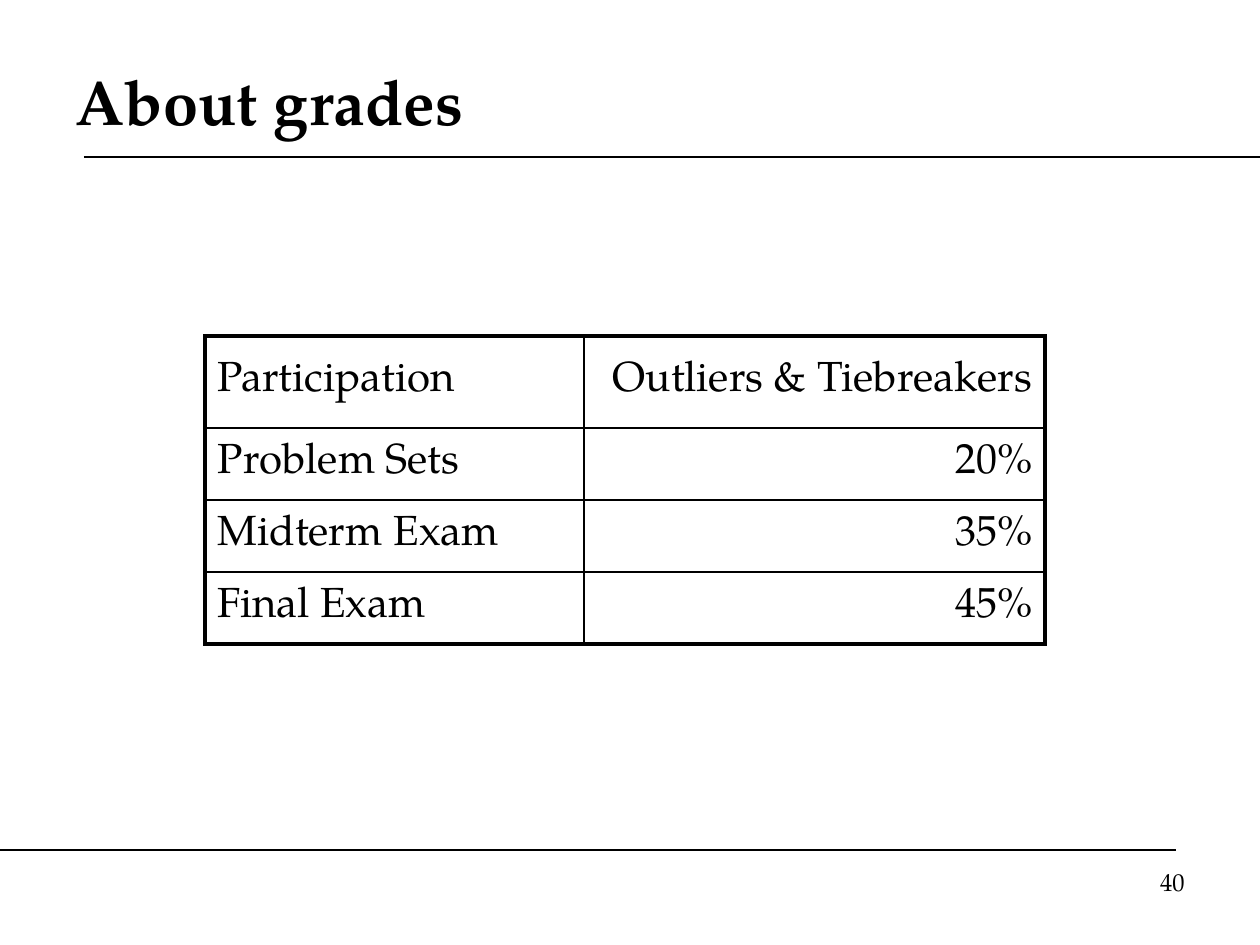
from typing import NamedTuple

from lxml.etree import SubElement
from pptx import Presentation
from pptx.dml.color import RGBColor
from pptx.enum.shapes import MSO_CONNECTOR
from pptx.enum.text import MSO_ANCHOR, PP_ALIGN
from pptx.oxml import parse_xml
from pptx.oxml.ns import nsdecls, qn
from pptx.util import Emu, Pt

PX_PER_INCH = 126
FONT = "TeX Gyre Pagella"
BLACK = RGBColor(0, 0, 0)
INNER_PT, OUTER_PT, BOTTOM_PT = 1, 2.25, 3
COLUMN_WIDTHS = (379, 461)
HEADER_HEIGHT, ROW_HEIGHT = 92, 72


class Rule(NamedTuple):
    left: int
    right: int
    y: int


class Grade(NamedTuple):
    component: str
    weight: str


RULES = (Rule(84, 1260, 157), Rule(0, 1176, 850))
GRADES = (
    Grade("Participation", "Outliers & Tiebreakers"),
    Grade("Problem Sets", "20%"),
    Grade("Midterm Exam", "35%"),
    Grade("Final Exam", "45%"),
)


def px(length: int) -> Emu:
    return Emu(round(length * 914400 / PX_PER_INCH))


def place(shape, left: int, top: int, width: int, height: int) -> None:
    shape.left, shape.top = px(left), px(top)
    shape.width, shape.height = px(width), px(height)


def write(frame, text: str, *, size: int, bold: bool = False,
          align=PP_ALIGN.LEFT, anchor=MSO_ANCHOR.MIDDLE) -> None:
    frame.word_wrap = True
    frame.vertical_anchor = anchor
    paragraph = frame.paragraphs[0]
    paragraph.text = text
    paragraph.alignment = align
    font = paragraph.runs[0].font
    font.name, font.size, font.bold = FONT, Pt(size), bold
    font.color.rgb = BLACK


def draw_rule(slide, rule: Rule) -> None:
    line = slide.shapes.add_connector(
        MSO_CONNECTOR.STRAIGHT,
        px(rule.left), px(rule.y), px(rule.right), px(rule.y))
    line.line.color.rgb = BLACK
    line.line.width = Pt(0.75)
    SubElement(line._element.spPr, qn("a:effectLst"))


def set_borders(cell, **widths: float) -> None:
    """Border widths in points, keyed L, R, T, B in that order."""
    properties = cell._tc.get_or_add_tcPr()
    for index, (side, width) in enumerate(widths.items()):
        properties.insert(index, parse_xml(
            f'<a:ln{side} {nsdecls("a")} w="{Pt(width)}"><a:solidFill>'
            f'<a:srgbClr val="{BLACK}"/></a:solidFill></a:ln{side}>'))


def draw_grades(slide, left: int, top: int) -> None:
    heights = [HEADER_HEIGHT] + [ROW_HEIGHT] * (len(GRADES) - 1)
    table = slide.shapes.add_table(
        len(GRADES), len(COLUMN_WIDTHS), px(left), px(top),
        px(sum(COLUMN_WIDTHS)), px(sum(heights))).table
    table.first_row = table.horz_banding = False
    for column, width in zip(table.columns, COLUMN_WIDTHS):
        column.width = px(width)
    last_row, last_column = len(GRADES) - 1, len(COLUMN_WIDTHS) - 1
    for r, (grade, height) in enumerate(zip(GRADES, heights)):
        table.rows[r].height = px(height)
        for c, text in enumerate(grade):
            cell = table.cell(r, c)
            cell.fill.background()
            cell.vertical_anchor = MSO_ANCHOR.MIDDLE
            write(cell.text_frame, text, size=24, anchor=None,
                  align=PP_ALIGN.RIGHT if c else PP_ALIGN.LEFT)
            set_borders(
                cell,
                L=INNER_PT if c else OUTER_PT,
                R=OUTER_PT if c == last_column else INNER_PT,
                T=INNER_PT if r else OUTER_PT,
                B=BOTTOM_PT if r == last_row else INNER_PT)


def main() -> None:
    deck = Presentation()
    deck.slide_width, deck.slide_height = px(1260), px(945)
    slide = deck.slides.add_slide(deck.slide_layouts[5])

    for rule in RULES:
        draw_rule(slide, rule)

    title = slide.shapes.title
    place(title, 63, 42, 1134, 116)
    write(title.text_frame, "About grades", size=36, bold=True)

    draw_grades(slide, 205, 336)

    page_number = slide.shapes.add_textbox(px(903), px(861), px(294), px(66))
    write(page_number.text_frame, "40", size=14,
          align=PP_ALIGN.RIGHT, anchor=MSO_ANCHOR.TOP)

    deck.save("out.pptx")


if __name__ == "__main__":
    main()
